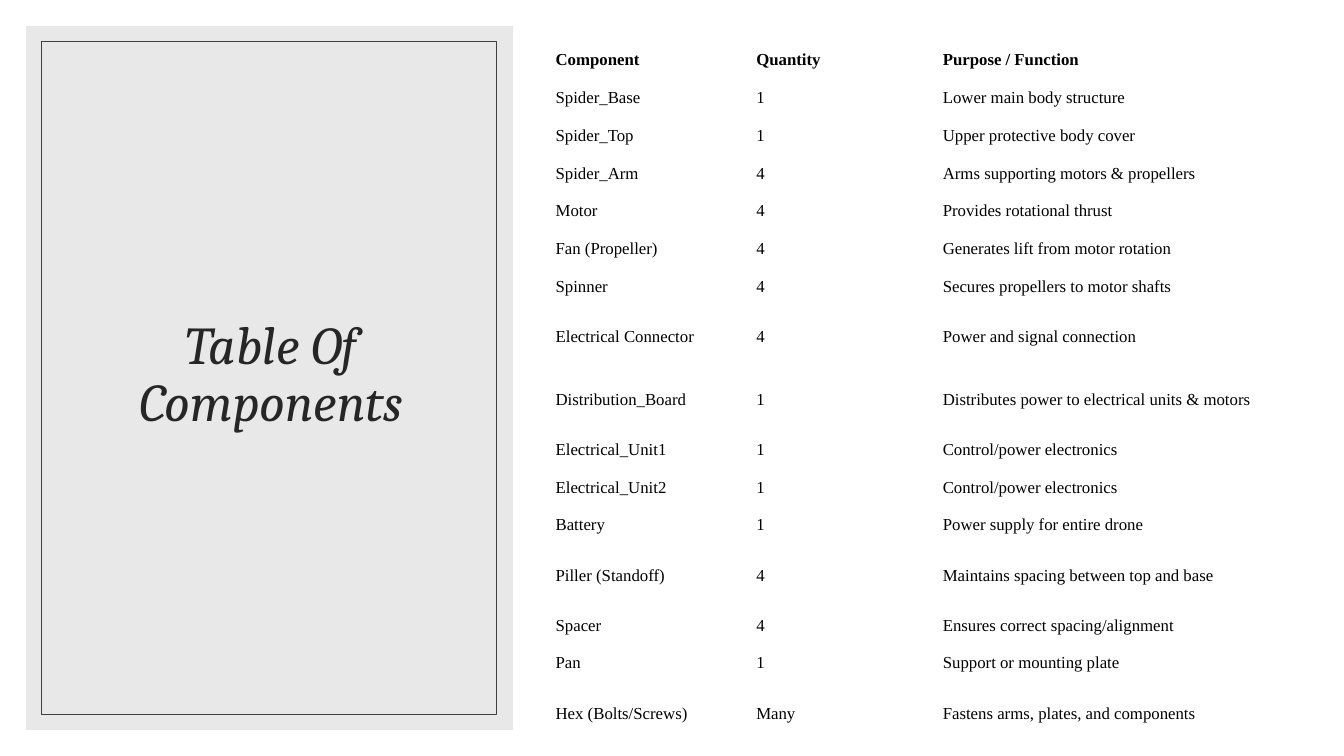
"""Builds the slide that lists the components of a drone."""
from dataclasses import dataclass

from lxml import etree
from pptx import Presentation
from pptx import util as u
from pptx.dml.color import RGBColor
from pptx.enum import shapes, text
from pptx.oxml.ns import qn


@dataclass(frozen=True)
class Theme:
    """Colours, fonts and type sizes."""
    paper: str = "FFFFFF"
    panel: str = "D9D9D9"
    frame: str = "404040"
    title: str = "262626"
    ink: str = "000000"
    serif: str = "Cambria"
    body: str = "Times New Roman"
    big: int = 38
    small: int = 12


THEME = Theme()
WIDE, HIGH = u.Inches(13.33), u.Inches(7.5)
COLS = (14.93, 13.88, 25.58)
LOW, TALL = 5, 8.27
TALL_ROWS = {"Electrical Connector", "Distribution_Board",
             "Piller (Standoff)", "Hex (Bolts/Screws)"}
PLAIN = "{2D5ABB26-0587-4C30-8999-92F81FD0307C}"
PARTS = (
    ("Component", "Quantity", "Purpose / Function"),
    ("Spider_Base", "1", "Lower main body structure"),
    ("Spider_Top", "1", "Upper protective body cover"),
    ("Spider_Arm", "4", "Arms supporting motors & propellers"),
    ("Motor", "4", "Provides rotational thrust"),
    ("Fan (Propeller)", "4", "Generates lift from motor rotation"),
    ("Spinner", "4", "Secures propellers to motor shafts"),
    ("Electrical Connector", "4", "Power and signal connection"),
    ("Distribution_Board", "1",
     "Distributes power to electrical units & motors"),
    ("Electrical_Unit1", "1", "Control/power electronics"),
    ("Electrical_Unit2", "1", "Control/power electronics"),
    ("Battery", "1", "Power supply for entire drone"),
    ("Piller (Standoff)", "4", "Maintains spacing between top and base"),
    ("Spacer", "4", "Ensures correct spacing/alignment"),
    ("Pan", "1", "Support or mounting plate"),
    ("Hex (Bolts/Screws)", "Many", "Fastens arms, plates, and components"),
)


def across(share):
    """Turns a percentage of the slide's width into a length."""
    return u.Emu(round(WIDE * share / 100))


def down(share):
    """Turns a percentage of the slide's height into a length."""
    return u.Emu(round(HIGH * share / 100))


def area(left, top, width, height):
    """Turns four percentages into a place on the slide."""
    return across(left), down(top), across(width), down(height)


def add_run(para, words, face, size, tint, bold=False, slant=False):
    """Adds one styled run to a paragraph."""
    run = para.add_run()
    run.text = words
    font = run.font
    font.name, font.size = face, u.Pt(size)
    font.bold, font.italic = bold, slant
    font.color.rgb = RGBColor.from_string(tint)


def add_box(slide, place, fill=None, line=None, alpha=100):
    """Draws a rectangle with an optional fill, outline and opacity."""
    box = slide.shapes.add_shape(shapes.MSO_SHAPE.RECTANGLE, *place)
    box.shadow.inherit = False
    if fill:
        box.fill.solid()
        box.fill.fore_color.rgb = RGBColor.from_string(fill)
        if alpha < 100:
            tint = box.fill._xPr.find(".//" + qn("a:srgbClr"))
            etree.SubElement(tint, qn("a:alpha"), val=str(alpha * 1000))
    else:
        box.fill.background()
    if line:
        box.line.color.rgb = RGBColor.from_string(line)
        box.line.width = u.Pt(0.5)
    else:
        box.line.fill.background()


def add_title(slide, place, words):
    """Writes the centred slide title."""
    frame = slide.shapes.add_textbox(*place).text_frame
    frame.word_wrap = True
    frame.vertical_anchor = text.MSO_ANCHOR.MIDDLE
    para = frame.paragraphs[0]
    para.alignment = text.PP_ALIGN.CENTER
    para.line_spacing = 0.9
    add_run(para, words, THEME.serif, THEME.big, THEME.title, slant=True)


def fill_cell(cell, words, bold):
    """Writes one table cell on a clear ground."""
    cell.fill.background()
    cell.vertical_anchor = text.MSO_ANCHOR.MIDDLE
    cell.margin_left = cell.margin_right = u.Inches(0.06)
    cell.margin_top = cell.margin_bottom = u.Inches(0.03)
    para = cell.text_frame.paragraphs[0]
    add_run(para, words, THEME.body, THEME.small, THEME.ink, bold)


def add_parts(slide, left, top, parts):
    """Lays out the table of components."""
    highs = [TALL if part[0] in TALL_ROWS else LOW for part in parts]
    place = area(left, top, sum(COLS), sum(highs))
    table = slide.shapes.add_table(len(parts), len(COLS), *place).table
    table._tbl.tblPr.find(qn("a:tableStyleId")).text = PLAIN
    table.first_row = table.horz_banding = False
    for col, width in zip(table.columns, COLS):
        col.width = across(width)
    for row, high, part in zip(table.rows, highs, parts):
        row.height = down(high)
        for cell, words in zip(row.cells, part):
            fill_cell(cell, words, part is parts[0])


def main():
    """Builds and saves the slide."""
    deck = Presentation()
    deck.slide_width, deck.slide_height = WIDE, HIGH
    slide = deck.slides.add_slide(deck.slide_layouts[6])
    add_box(slide, area(0, 0, 100, 100), fill=THEME.paper)
    add_box(slide, area(1.95, 3.47, 36.23, 93.07), fill=THEME.panel, alpha=60)
    add_title(slide, area(4.73, 8.13, 30.91, 83.2), "Table Of Components")
    add_box(slide, area(3.08, 5.47, 33.83, 89.07), line=THEME.frame)
    add_parts(slide, 40.89, 5.47, PARTS)
    deck.save("out.pptx")


if __name__ == "__main__":
    main()
